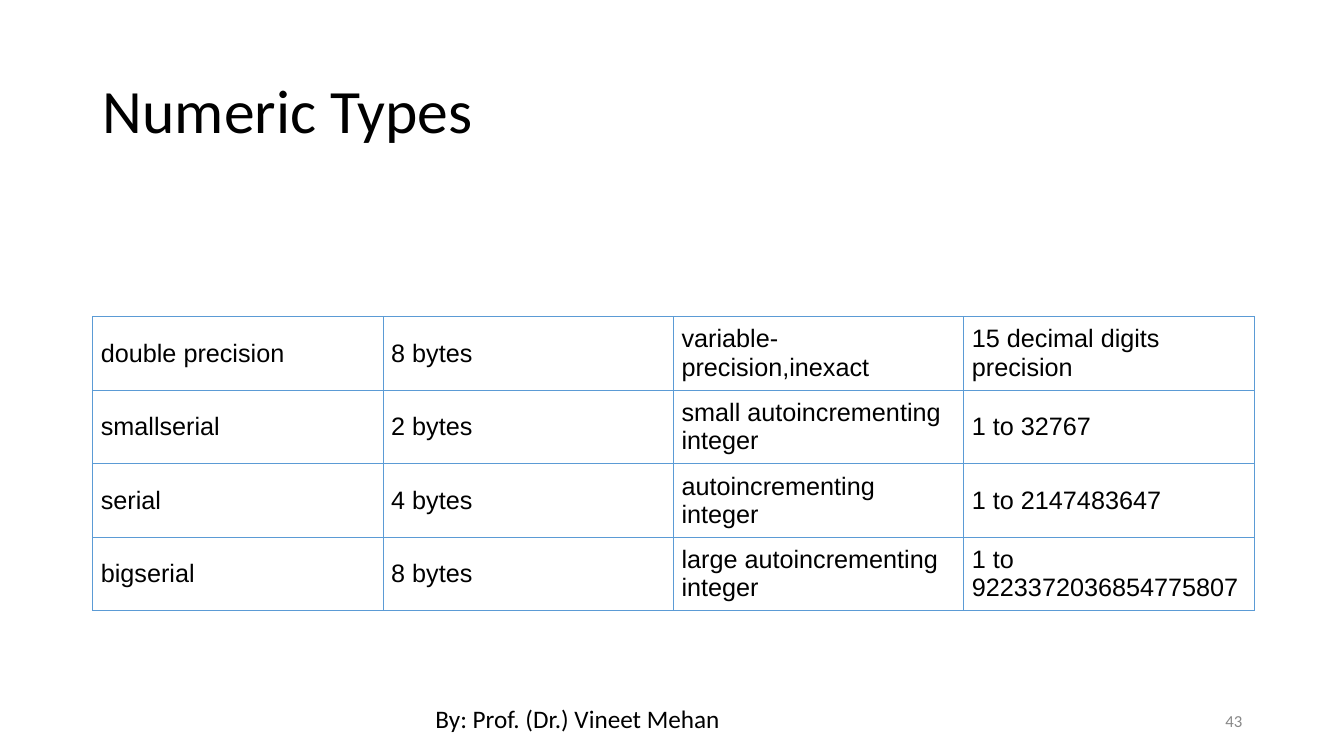
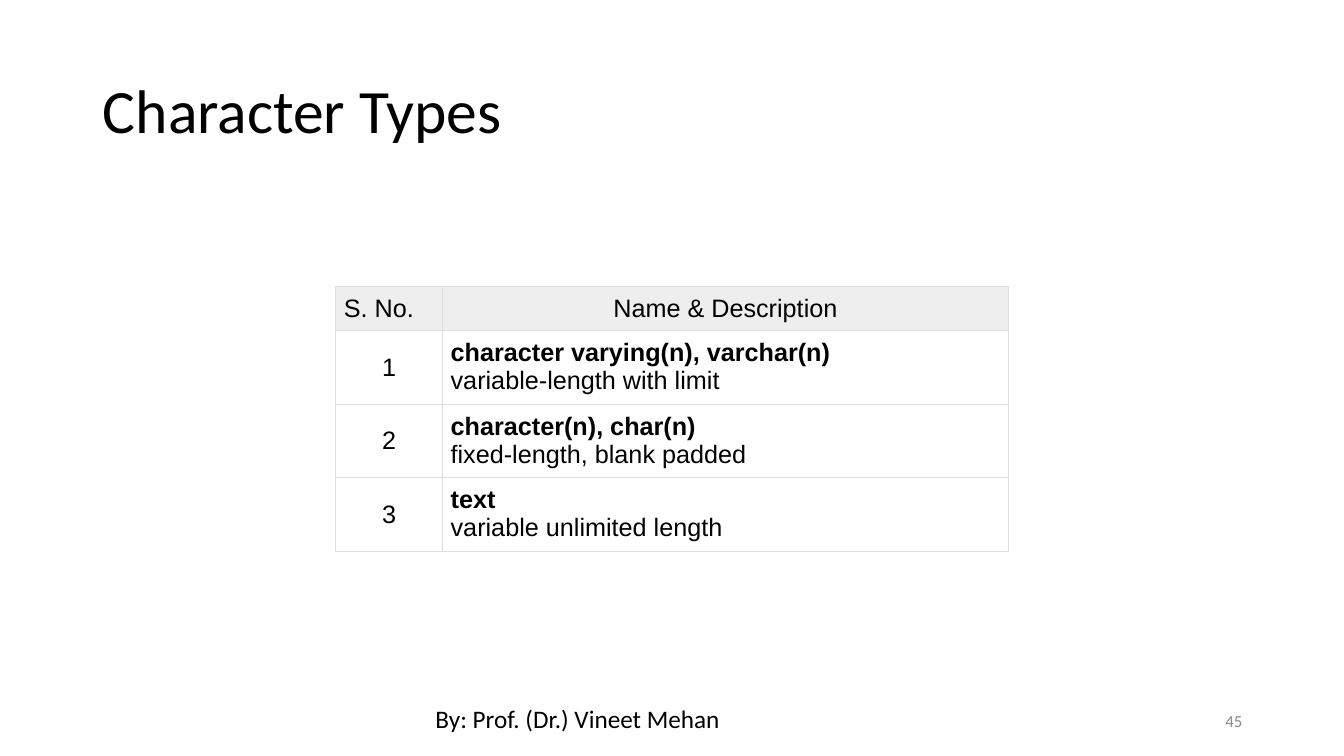
from lxml import etree
from pptx import Presentation
from pptx.dml.color import RGBColor
from pptx.enum.text import MSO_ANCHOR, MSO_AUTO_SIZE, PP_ALIGN
from pptx.oxml.ns import qn
from pptx.util import Inches, Pt

LEFT, CENTER, RIGHT, JUSTIFY = PP_ALIGN.LEFT, PP_ALIGN.CENTER, PP_ALIGN.RIGHT, PP_ALIGN.JUSTIFY
TOP, MIDDLE = MSO_ANCHOR.TOP, MSO_ANCHOR.MIDDLE
TITLE_ONLY = 5

COLORS = {"text": "000000", "page": "888888", "header": "EEEEEE",
          "blue_rule": "5B9BD5", "gray_rule": "DDDDDD"}
STYLES = {
    "title": {"name": "Calibri", "size": Pt(44), "color": "text"},
    "footer": {"name": "Calibri", "size": Pt(18), "color": "text"},
    "page": {"name": "Calibri", "size": Pt(12), "color": "page"},
    "cell": {"name": "Arial", "size": Pt(18), "color": "text", "bold": False},
    "term": {"name": "Arial", "size": Pt(18), "color": "text", "bold": True},
}
TITLE_BOX = (0.92, 0.4, 11.5, 1.45)
FOOTER_BOX = (4.22, 6.93, 4.55, 0.4)
PAGE_BOX = (9.42, 6.95, 3, 0.4)
FOOTER = "By: Prof. (Dr.) Vineet Mehan"
CELL_MARGIN = 0.08
ROW_HEIGHT, HEADER_HEIGHT = 0.73, 0.44

SLIDES = [
    {
        "title": "Numeric Types", "page": "43", "at": (0.92, 3.14),
        "columns": [2.88] * 4, "rule": "blue_rule", "has_header": False,
        "layout": [(LEFT, MIDDLE)] * 4,
        "rows": [
            ("double precision", "8 bytes", "variable-precision,inexact",
             "15 decimal digits precision"),
            ("smallserial", "2 bytes", "small autoincrementing integer", "1 to 32767"),
            ("serial", "4 bytes", "autoincrementing integer", "1 to 2147483647"),
            ("bigserial", "8 bytes", "large autoincrementing integer",
             "1 to 9223372036854775807"),
        ],
    },
    {
        "title": "Character Types", "page": "45", "at": (3.33, 2.84),
        "columns": [1.06, 5.61], "rule": "gray_rule", "has_header": True,
        "layout": [(CENTER, MIDDLE), (JUSTIFY, TOP)],
        "header_layout": [(LEFT, TOP), (CENTER, TOP)],
        "rows": [
            ("S. No.", "Name & Description"),
            ("1", ("character varying(n), varchar(n)", "variable-length with limit")),
            ("2", ("character(n), char(n)", "fixed-length, blank padded")),
            ("3", ("text", "variable unlimited length")),
        ],
    },
]


def rgb(color):
    return RGBColor.from_string(COLORS[color])


def write(paragraph, text, style, align=LEFT):
    paragraph.alignment = align
    run = paragraph.add_run()
    run.text = text
    for attribute, value in STYLES[style].items():
        if attribute == "color":
            run.font.color.rgb = rgb(value)
        else:
            setattr(run.font, attribute, value)


def add_label(slide, box, text, style, align=LEFT, anchor=TOP):
    label = slide.shapes.add_textbox(*map(Inches, box))
    label.text_frame.word_wrap = True
    label.text_frame.vertical_anchor = anchor
    write(label.text_frame.paragraphs[0], text, style, align)
    return label


def add_title(slide, text):
    title = slide.shapes.title
    for attribute, value in zip(("left", "top", "width", "height"), TITLE_BOX):
        setattr(title, attribute, Inches(value))
    frame = title.text_frame
    frame.auto_size = MSO_AUTO_SIZE.NONE
    frame.vertical_anchor = MIDDLE
    frame.paragraphs[0].line_spacing = 0.9
    write(frame.paragraphs[0], text, "title")


def set_borders(cell, color):
    properties = cell._tc.get_or_add_tcPr()
    for index, side in enumerate(("lnL", "lnR", "lnT", "lnB")):
        line = etree.Element(qn(f"a:{side}"), w=str(Pt(0.75)))
        fill = etree.SubElement(line, qn("a:solidFill"))
        etree.SubElement(fill, qn("a:srgbClr"), val=COLORS[color])
        properties.insert(index, line)


def fill_cell(cell, content, layout, is_header, rule):
    align, anchor = layout
    for side in ("left", "right", "top", "bottom"):
        setattr(cell, f"margin_{side}", Inches(CELL_MARGIN))
    cell.vertical_anchor = anchor
    if is_header:
        cell.fill.solid()
        cell.fill.fore_color.rgb = rgb("header")
    else:
        cell.fill.background()
    set_borders(cell, rule)
    frame = cell.text_frame
    if isinstance(content, tuple):
        term, description = content
        write(frame.paragraphs[0], term, "term", align)
        write(frame.add_paragraph(), description, "cell", align)
    else:
        write(frame.paragraphs[0], content, "cell", align)


def add_type_table(slide, data):
    rows, columns = data["rows"], data["columns"]
    heights = [ROW_HEIGHT] * len(rows)
    if data["has_header"]:
        heights[0] = HEADER_HEIGHT
    box = (*data["at"], sum(columns), sum(heights))
    table = slide.shapes.add_table(len(rows), len(columns), *map(Inches, box)).table
    table.first_row = data["has_header"]
    table.horz_banding = False
    for column, width in zip(table.columns, columns):
        column.width = Inches(width)
    for r, (row, height) in enumerate(zip(rows, heights)):
        table.rows[r].height = Inches(height)
        is_header = data["has_header"] and r == 0
        layouts = data["header_layout" if is_header else "layout"]
        for c, (content, layout) in enumerate(zip(row, layouts)):
            fill_cell(table.cell(r, c), content, layout, is_header, data["rule"])


def main():
    deck = Presentation()
    deck.slide_width, deck.slide_height = Inches(13.33), Inches(7.5)
    layout = deck.slide_layouts[TITLE_ONLY]
    for data in SLIDES:
        slide = deck.slides.add_slide(layout)
        add_title(slide, data["title"])
        add_type_table(slide, data)
        add_label(slide, PAGE_BOX, data["page"], "page", RIGHT, MIDDLE)
        add_label(slide, FOOTER_BOX, FOOTER, "footer")
    deck.save("out.pptx")


if __name__ == "__main__":
    main()
